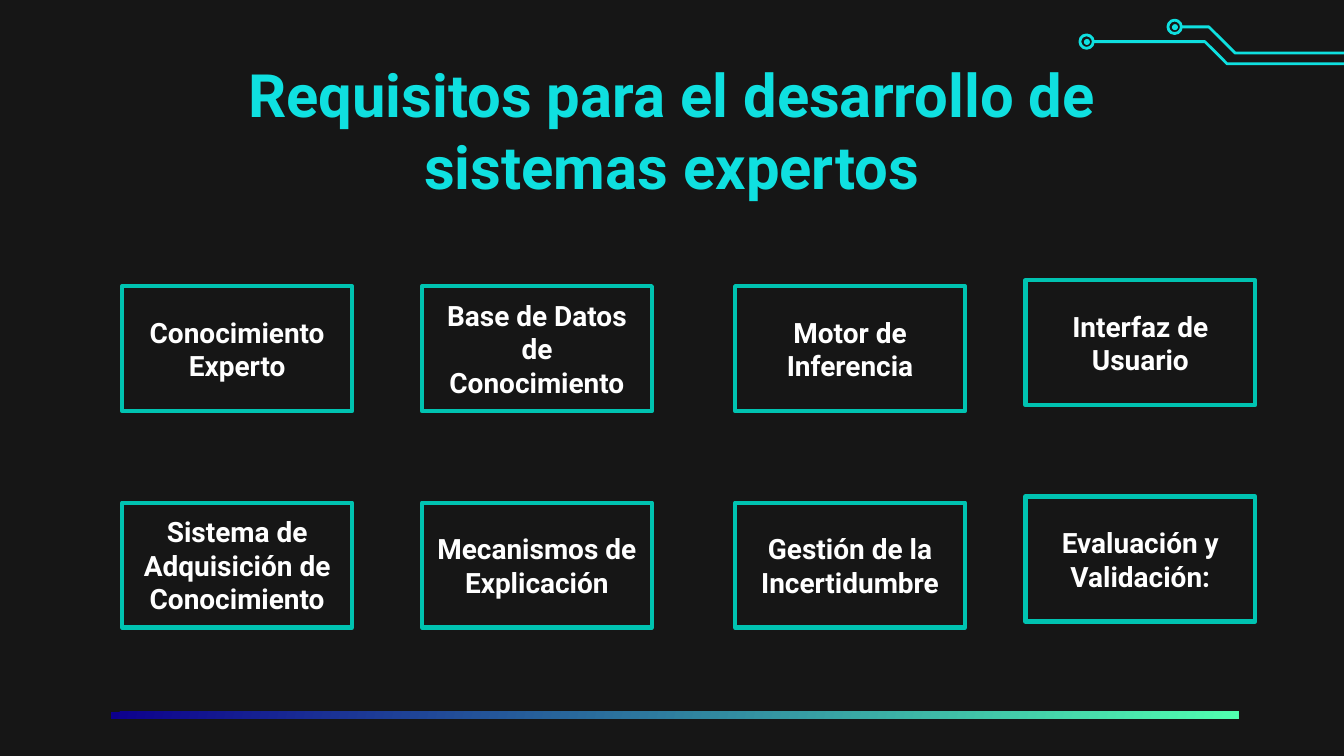
"""Build the slide on the requirements of expert systems."""
import dataclasses

import pptx
import pptx.dml.color
import pptx.enum.shapes
import pptx.enum.text
import pptx.util

SCALE = 4572
CYAN, TEAL, WHITE, DARK = "0FE0E0", "00C3B1", "FFFFFF", "161616"
BLUE, GREEN = "0D008E", "50FFB0"
FONT = "Roboto"
KIND = pptx.enum.shapes.MSO_SHAPE


@dataclasses.dataclass(frozen=True)
class Column:
    left: int
    top: int
    labels: tuple[str, str]


@dataclasses.dataclass(frozen=True)
class Trace:
    node: tuple[int, int]
    points: tuple[tuple[int, int], ...]


ROW_STEP = 322
BOX = (342, 186)
COLUMNS = (
    Column(182, 426, ("Conocimiento Experto", "Sistema de Adquisición de Conocimiento")),
    Column(628, 426, ("Base de Datos de Conocimiento", "Mecanismos de Explicación")),
    Column(1094, 426, ("Motor de Inferencia", "Gestión de la Incertidumbre")),
    Column(1526, 417, ("Interfaz de Usuario", "Evaluación y Validación:")),
)
TRACES = (
    Trace((1617, 62), ((1628, 62), (1793, 62), (1814, 83), (1826, 95), (2006, 95))),
    Trace((1748, 40), ((1758, 40), (1799, 40), (1814, 55), (1838, 79), (2006, 79))),
)


def px(count: int) -> pptx.util.Emu:
    return pptx.util.Emu(count * SCALE)


def color(code: str) -> pptx.dml.color.RGBColor:
    return pptx.dml.color.RGBColor.from_string(code)


def paint(shape, fill: str | None = None, line: str | None = None, width: float = 1.5) -> None:
    shape.shadow.inherit = False
    if fill:
        shape.fill.solid()
        shape.fill.fore_color.rgb = color(fill)
    else:
        shape.fill.background()
    if line:
        shape.line.color.rgb = color(line)
        shape.line.width = pptx.util.Pt(width)
    else:
        shape.line.fill.background()


def write(shape, text: str, size: int, code: str) -> None:
    frame = shape.text_frame
    frame.text = text
    frame.word_wrap = True
    frame.auto_size = pptx.enum.text.MSO_AUTO_SIZE.NONE
    frame.vertical_anchor = pptx.enum.text.MSO_ANCHOR.MIDDLE
    frame.margin_left = frame.margin_right = px(20)
    frame.margin_top = frame.margin_bottom = px(20)
    para = frame.paragraphs[0]
    para.alignment = pptx.enum.text.PP_ALIGN.CENTER
    para.font.name = FONT
    para.font.size = pptx.util.Pt(size)
    para.font.bold = True
    para.font.color.rgb = color(code)


def add_shape(shapes, kind: KIND, left: int, top: int, width: int, height: int):
    return shapes.add_shape(kind, px(left), px(top), px(width), px(height))


def add_bar(shapes) -> None:
    bar = add_shape(shapes, KIND.RECTANGLE, 165, 1059, 1678, 11)
    paint(bar)
    bar.fill.gradient()
    bar.fill.gradient_angle = 345
    for stop, code, place in zip(bar.fill.gradient_stops, (BLUE, GREEN), (0, 1)):
        stop.color.rgb = color(code)
        stop.position = place


def add_title(slide) -> None:
    title = slide.shapes.title
    title.left, title.top, title.width, title.height = map(px, (157, 143, 1686, 100))
    write(title, "Requisitos para el desarrollo de sistemas expertos", 32, CYAN)


def add_trace(shapes, trace: Trace) -> None:
    path = shapes.build_freeform(*trace.points[0], scale=SCALE)
    path.add_line_segments(trace.points[1:], close=False)
    paint(path.convert_to_shape(), line=CYAN)
    x, y = trace.node
    paint(add_shape(shapes, KIND.OVAL, x - 10, y - 10, 20, 20), line=CYAN)
    paint(add_shape(shapes, KIND.OVAL, x - 4, y - 4, 9, 9), fill=CYAN)


def add_column(shapes, column: Column) -> None:
    for row, label in enumerate(column.labels):
        box = add_shape(shapes, KIND.RECTANGLE, column.left, column.top + row * ROW_STEP, *BOX)
        paint(box, line=TEAL, width=2.25)
        write(box, label, 15, WHITE)


def main() -> None:
    deck = pptx.Presentation()
    deck.slide_width, deck.slide_height = px(2000), px(1125)
    slide = deck.slides.add_slide(deck.slide_layouts[5])
    slide.background.fill.solid()
    slide.background.fill.fore_color.rgb = color(DARK)
    add_bar(slide.shapes)
    add_title(slide)
    circuit = slide.shapes.add_group_shape()
    for trace in TRACES:
        add_trace(circuit.shapes, trace)
    for column in COLUMNS:
        add_column(slide.shapes, column)
    deck.save("out.pptx")


if __name__ == "__main__":
    main()
